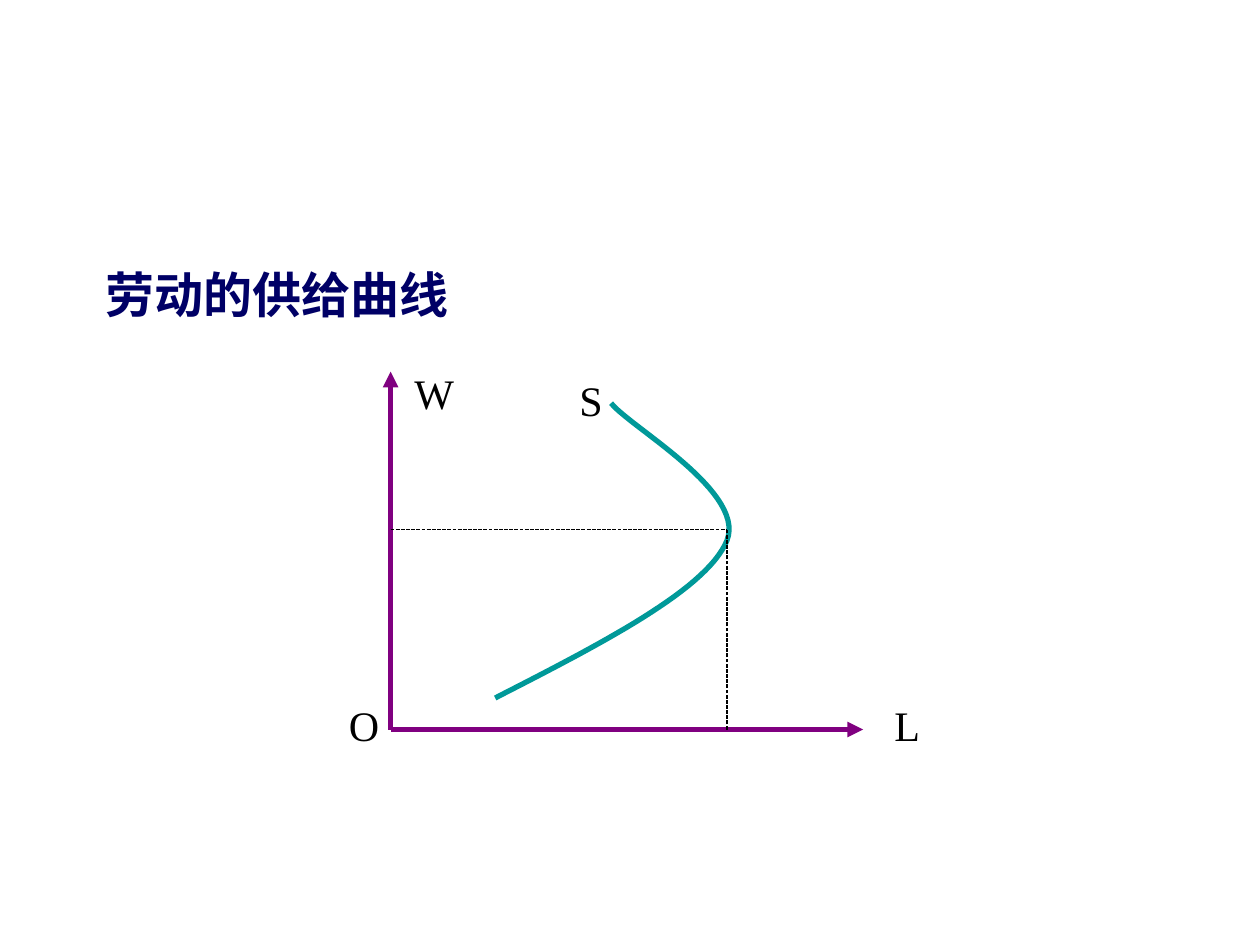
from lxml import etree
from pptx import Presentation
from pptx.dml.color import RGBColor
from pptx.enum import dml, shapes, text
from pptx.oxml import ns
from pptx.util import Inches, Pt

PURPLE = RGBColor(0x80, 0x00, 0x80)
TEAL = RGBColor(0x00, 0x99, 0x99)
NAVY = RGBColor(0x00, 0x00, 0x66)
BLACK = RGBColor(0x00, 0x00, 0x00)
FONT = "Times New Roman"

# Diagram points in inches
LEFT, BASE = 3.1, 5.79
TURN_X, TURN_Y = 5.77, 4.2
CURVE = [
    [(3.93, 5.54), (4.77, 5.11), (5.61, 4.68), (5.77, 4.29)],
    [(5.77, 4.29), (5.92, 3.9), (5, 3.39), (4.85, 3.2)],
]
LABELS = [
    ("W", 3.19, 2.87, 0.51),
    ("L", 7, 5.5, 0.4),
    ("O", 2.67, 5.5, 0.44),
    ("S", 4.5, 2.92, 0.38),
]


def write(shape, words, size=24, color=BLACK, bold=False):
    frame = shape.text_frame
    frame.word_wrap = False
    frame.auto_size = text.MSO_AUTO_SIZE.NONE
    frame.vertical_anchor = text.MSO_ANCHOR.TOP
    para = frame.paragraphs[0]
    para.alignment = text.PP_ALIGN.LEFT
    run = para.add_run()
    run.text = words
    font = run.font
    font.name, font.size, font.bold = FONT, Pt(size), bold
    font.color.rgb = color


def add_label(slide, words, x, y, w):
    box = slide.shapes.add_textbox(Inches(x), Inches(y), Inches(w), Inches(0.5))
    write(box, words)


def add_line(slide, start, end, color, width, arrow=False, dash=None):
    line = slide.shapes.add_connector(
        shapes.MSO_CONNECTOR.STRAIGHT, *map(Inches, start + end))
    line.line.color.rgb = color
    line.line.width = Pt(width)
    if dash:
        line.line.dash_style = dash
    props = line._element.spPr
    if arrow:
        tail = etree.SubElement(props.find(ns.qn("a:ln")), ns.qn("a:tailEnd"))
        tail.set("type", "triangle")
    etree.SubElement(props, ns.qn("a:effectLst"))


def bezier(points, t):
    """Point on a cubic curve at t, in EMU."""
    weights = ((1 - t) ** 3, 3 * t * (1 - t) ** 2, 3 * t * t * (1 - t), t ** 3)
    return tuple(Inches(sum(w * p[axis] for w, p in zip(weights, points)))
                 for axis in (0, 1))


def add_curve(slide, parts, color, width, steps=30):
    dots = [bezier(part, i / steps) for part in parts for i in range(1, steps + 1)]
    start = bezier(parts[0], 0)
    pen = slide.shapes.build_freeform(*start)
    pen.add_line_segments(dots, close=False)
    curve = pen.convert_to_shape()
    curve.shadow.inherit = False
    curve.fill.background()
    curve.line.color.rgb = color
    curve.line.width = Pt(width)


def add_title(slide, words):
    title = slide.shapes.title
    title.left, title.top = Inches(0.74), Inches(2.05)
    title.width, title.height = Inches(2.92), Inches(0.57)
    write(title, words, size=28, color=NAVY, bold=True)


def main():
    deck = Presentation()
    deck.slide_width, deck.slide_height = Inches(10), Inches(7.5)
    slide = deck.slides.add_slide(deck.slide_layouts[5])
    add_title(slide, "劳动的供给曲线")

    # Axes
    for end in ((LEFT, 2.95), (6.85, BASE)):
        add_line(slide, (LEFT, BASE), end, PURPLE, 3, arrow=True)

    # Supply curve and the guides to its turning point
    add_curve(slide, CURVE, TEAL, 3)
    turn = (TURN_X, TURN_Y)
    for foot in ((LEFT, TURN_Y), (TURN_X, BASE)):
        add_line(slide, foot, turn, BLACK, 0.75, dash=dml.MSO_LINE.SQUARE_DOT)

    for label in LABELS:
        add_label(slide, *label)
    deck.save("out.pptx")


if __name__ == "__main__":
    main()
